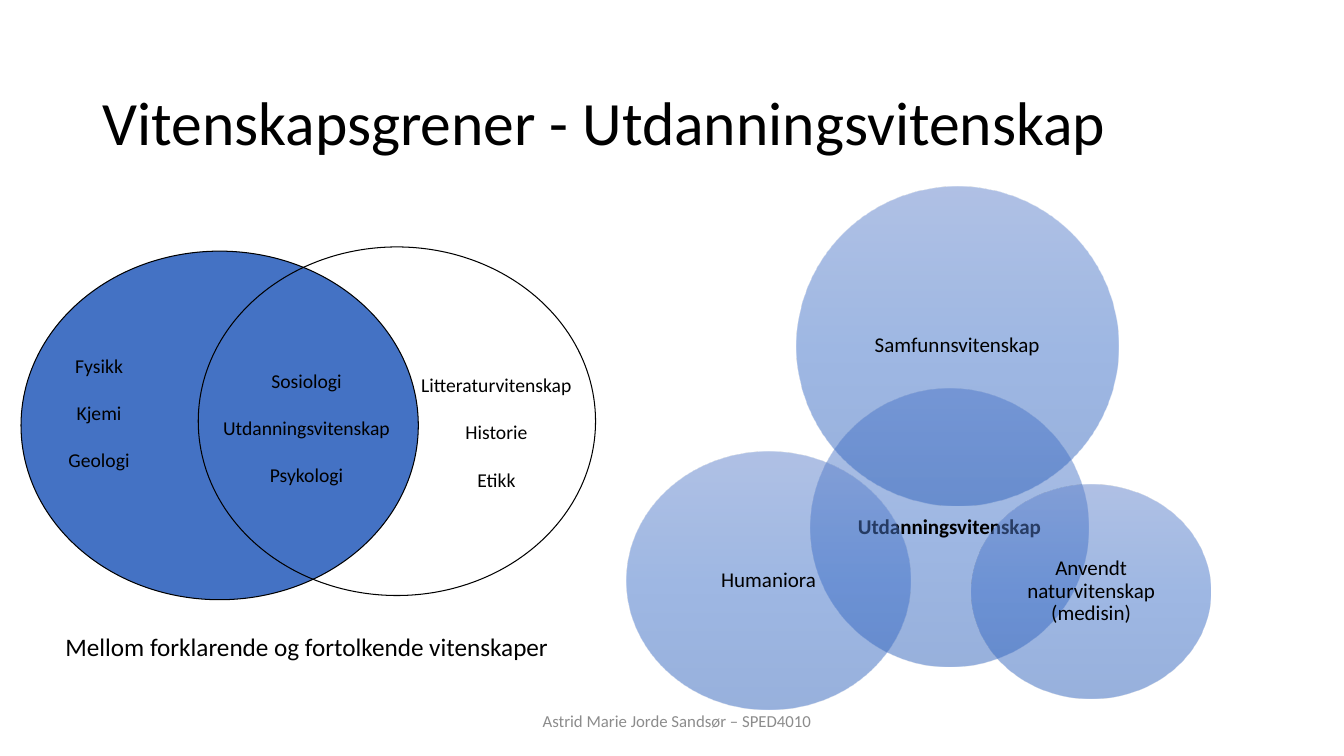
from pptx import Presentation
from pptx.dml.color import RGBColor
from pptx.enum.shapes import MSO_SHAPE
from pptx.enum.text import MSO_ANCHOR, MSO_AUTO_SIZE, PP_ALIGN
from pptx.oxml import parse_xml
from pptx.oxml.ns import nsdecls, qn
from pptx.util import Inches, Pt

OVAL = MSO_SHAPE.OVAL
TOP, MIDDLE = MSO_ANCHOR.TOP, MSO_ANCHOR.MIDDLE
LEFT, CENTER = PP_ALIGN.LEFT, PP_ALIGN.CENTER
BLACK = RGBColor(0x00, 0x00, 0x00)
GREY = RGBColor(0x8C, 0x8C, 0x8C)
BLUE = RGBColor(0x44, 0x72, 0xC4)
GLASS = [(0, RGBColor(0x61, 0x83, 0xCB)),
         (50, RGBColor(0x3E, 0x70, 0xCA)),
         (100, RGBColor(0x30, 0x62, 0xBB))]
FONT = "Calibri"
WIDTH, HEIGHT = Inches(13.33), Inches(7.5)
COLUMNS, ROWS = 160, 90


class VennSlide:
    """Places elements on a grid of 160 columns by 90 rows."""

    def __init__(self, presentation):
        self.slide = presentation.slides.add_slide(presentation.slide_layouts[5])

    def box(self, left, top, width, height):
        return (int(WIDTH * left / COLUMNS), int(HEIGHT * top / ROWS),
                int(WIDTH * width / COLUMNS), int(HEIGHT * height / ROWS))

    def set_text(self, shape, lines, size, align=CENTER, anchor=MIDDLE, color=BLACK,
                 bold=False, spacing=1.0, gap=0):
        frame = shape.text_frame
        frame.word_wrap = True
        frame.auto_size = MSO_AUTO_SIZE.NONE
        frame.vertical_anchor = anchor
        frame.text = "\n".join(lines)
        for index, paragraph in enumerate(frame.paragraphs):
            paragraph.alignment = align
            paragraph.line_spacing = spacing
            paragraph.space_before = Pt(gap if index else 0)
            font = paragraph.font
            font.name, font.size, font.bold = FONT, Pt(size), bold
            font.color.rgb = color

    def title(self, text, *place):
        title = self.slide.shapes.title
        title.left, title.top, title.width, title.height = self.box(*place)
        self.set_text(title, [text], 44, LEFT, spacing=0.9)

    def text(self, lines, place, size, **style):
        self.set_text(self.slide.shapes.add_textbox(*self.box(*place)), lines, size, **style)

    def oval(self, place):
        oval = self.slide.shapes.add_shape(OVAL, *self.box(*place))
        oval.shadow.inherit = False
        return oval

    def outlined_oval(self, place, fill=None):
        oval = self.oval(place)
        if fill is None:
            oval.fill.background()
        else:
            oval.fill.solid()
            oval.fill.fore_color.rgb = fill
        oval.line.color.rgb = BLACK
        oval.line.width = Pt(0.75)

    def glass_oval(self, text, place, bold=False):
        oval = self.oval(place)
        oval.line.fill.background()
        oval.fill.gradient()
        oval.fill.gradient_angle = 270
        # Half-transparent gradient stops
        stops = oval._element.spPr.find(qn("a:gradFill")).find(qn("a:gsLst"))
        for stop in list(stops):
            stops.remove(stop)
        for position, color in GLASS:
            stops.append(parse_xml(
                f'<a:gs {nsdecls("a")} pos="{position * 1000}"><a:srgbClr val="{color}">'
                '<a:alpha val="50000"/></a:srgbClr></a:gs>'))
        frame = oval.text_frame
        frame.margin_left = frame.margin_right = Inches(0.02)
        frame.margin_top = frame.margin_bottom = Inches(0.02)
        self.set_text(oval, [text], 15, bold=bold, spacing=0.9)

    def subjects(self, lines, left, top):
        self.text(lines, (left, top, 23.6, 18.1), 14, anchor=TOP, gap=17)


def main():
    presentation = Presentation()
    presentation.slide_width, presentation.slide_height = WIDTH, HEIGHT
    venn = VennSlide(presentation)
    venn.title("Vitenskapsgrener - Utdanningsvitenskap", 11, 7.6, 138, 14.6)

    # Overlapping fields around educational science
    venn.glass_oval("Utdanningsvitenskap", (96.5, 46.3, 33.1, 33.1), bold=True)
    venn.glass_oval("Samfunnsvitenskap", (94.8, 22.2, 38.3, 38))
    venn.glass_oval("Anvendt naturvitenskap (medisin)", (115.7, 57.7, 28.4, 25.4))
    venn.glass_oval("Humaniora", (74.6, 53.8, 33.8, 30.7))

    # Footer
    venn.text(["Astrid Marie Jorde Sandsør – SPED4010"], (29.6, 83.4, 102, 4.8), 12,
              color=GREY)

    # Explanatory and interpretive sciences
    venn.outlined_oval((2.5, 29.9, 47.3, 41.5), BLUE)
    venn.subjects(["Sosiologi", "Utdanningsvitenskap", "Psykologi"], 24.7, 43.3)
    venn.outlined_oval((23.6, 29.4, 47.3, 41.5))
    venn.subjects(["Litteraturvitenskap", "Historie", "Etikk"], 47.3, 43.8)
    venn.subjects(["Fysikk", "Kjemi", "Geologi"], 0, 41.5)
    venn.text(["Mellom forklarende og fortolkende vitenskaper"],
              (6.6, 74.6, 60.6, 4.8), 18, align=LEFT, anchor=TOP)

    presentation.save("out.pptx")


if __name__ == "__main__":
    main()
